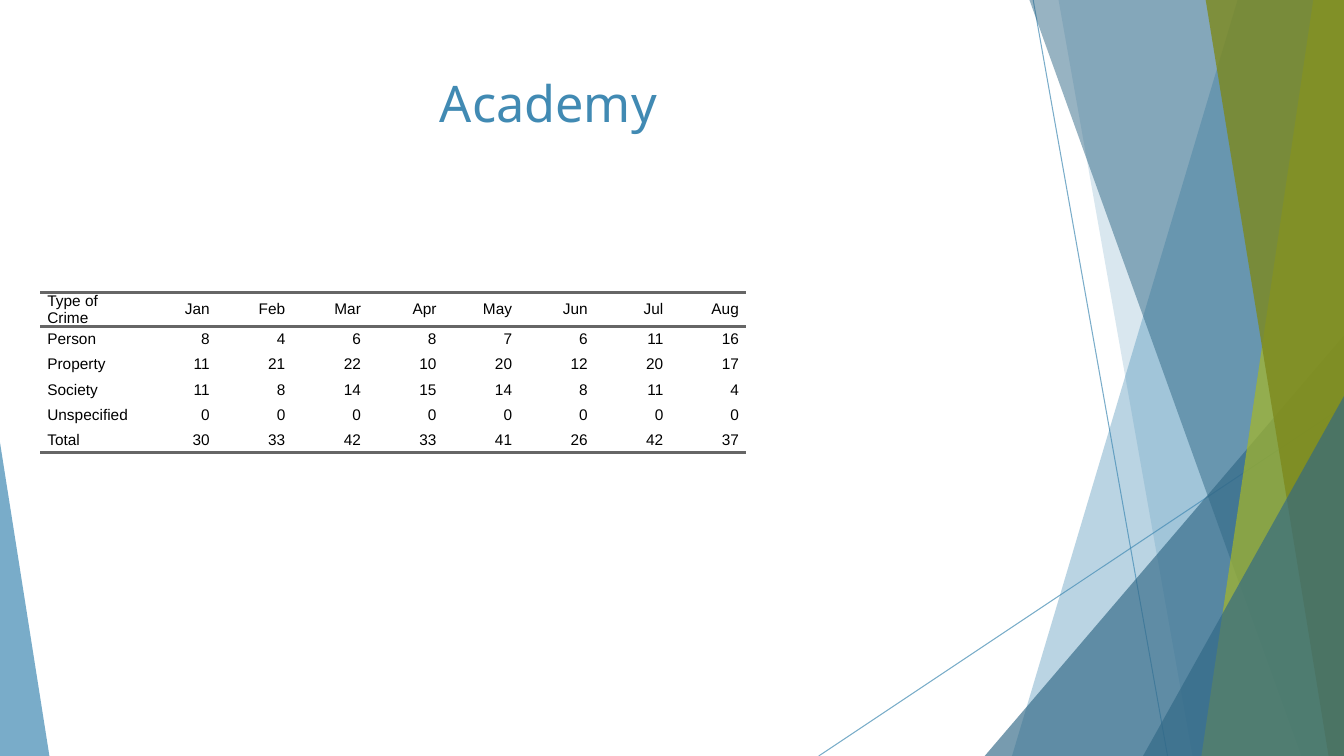
from lxml import etree
from pptx import Presentation
from pptx.dml.color import RGBColor
from pptx.enum.shapes import MSO_CONNECTOR, MSO_SHAPE
from pptx.enum.text import MSO_ANCHOR, PP_ALIGN
from pptx.oxml.ns import qn
from pptx.util import Pt

STRAIGHT = MSO_CONNECTOR.STRAIGHT
TRIANGLE = MSO_SHAPE.ISOSCELES_TRIANGLE
TOP, MIDDLE = MSO_ANCHOR.TOP, MSO_ANCHOR.MIDDLE
LEFT, CENTER, RIGHT = PP_ALIGN.LEFT, PP_ALIGN.CENTER, PP_ALIGN.RIGHT
COLORS = {
    "blue": "418AB3",
    "navy": "316886",
    "lime": "A6B727",
    "olive": "7D891D",
    "rule": "666666",
    "text": "000000",
}
SLIDE_WIDTH, SLIDE_HEIGHT = 960, 540
NO_TABLE_STYLE = "{2D5ABB26-0587-4C30-8999-92F81FD0307C}"


def paint(fill, color, opacity):
    fill.solid()
    fill.fore_color.rgb = RGBColor.from_string(COLORS[color])
    color_node = fill._xPr.find(qn("a:solidFill"))[0]
    etree.SubElement(color_node, qn("a:alpha"), val=str(opacity * 1000))


def add_border(cell, side):
    border = etree.SubElement(cell._tc.get_or_add_tcPr(), qn(side), w=str(Pt(2)))
    solid = etree.SubElement(border, qn("a:solidFill"))
    etree.SubElement(solid, qn("a:srgbClr"), val=COLORS["rule"])


presentation = Presentation()
presentation.slide_width = Pt(SLIDE_WIDTH)
presentation.slide_height = Pt(SLIDE_HEIGHT)
slide = presentation.slides.add_slide(presentation.slide_layouts[6])

for start_x, start_y, end_x, end_y in [(738, 0, 834, 540), (960, 290, 584.8, 540)]:
    line = slide.shapes.add_connector(
        STRAIGHT, Pt(start_x), Pt(start_y), Pt(end_x), Pt(end_y)
    )
    line.line.width = Pt(0.75)
    paint(line.line.fill, "blue", 70)
    etree.SubElement(line._element.spPr, qn("a:effectLst"))

facets = [
    ("band", (884.2, 722.9), "blue", 36),
    ("band", (756, 851.8), "blue", 20),
    ("triangle", (703.4, 239.8, 256.6, 1), "navy", 66),
    ("band", (735.1, 929.5), "navy", 50),
    ("band", (938.2, 858.2), "lime", 70),
    ("band", (861.1, 949), "olive", 80),
    ("triangle", (816.5, 283, 143.5, 1), "navy", 66),
    ("triangle", (0, 316.1, 35.3, 0), "blue", 70),
]
for kind, geometry, color, opacity in facets:
    if kind == "band":
        top_x, bottom_x = geometry
        builder = slide.shapes.build_freeform(Pt(top_x), Pt(-0.7))
        builder.add_line_segments([
            (Pt(SLIDE_WIDTH), Pt(-0.7)),
            (Pt(SLIDE_WIDTH), Pt(SLIDE_HEIGHT)),
            (Pt(bottom_x), Pt(SLIDE_HEIGHT)),
        ])
        shape = builder.convert_to_shape()
    else:
        left, top, width, apex = geometry
        shape = slide.shapes.add_shape(
            TRIANGLE, Pt(left), Pt(top), Pt(width), Pt(SLIDE_HEIGHT - top)
        )
        shape.adjustments[0] = apex
    shape.shadow.inherit = False
    paint(shape.fill, color, opacity)
    shape.line.fill.background()

crime_rows = [
    ["Type of Crime", "Jan", "Feb", "Mar", "Apr", "May", "Jun", "Jul", "Aug"],
    ["Person", 8, 4, 6, 8, 7, 6, 11, 16],
    ["Property", 11, 21, 22, 10, 20, 12, 20, 17],
    ["Society", 11, 8, 14, 15, 14, 8, 11, 4],
    ["Unspecified", 0, 0, 0, 0, 0, 0, 0, 0],
    ["Total", 30, 33, 42, 33, 41, 26, 42, 37],
]
row_count, column_count = len(crime_rows), len(crime_rows[0])
table = slide.shapes.add_table(
    row_count, column_count, Pt(28.8), Pt(208.8), Pt(504), Pt(108)
).table
table.first_row = False
table.horz_banding = False
table._tbl.tblPr.find(qn("a:tableStyleId")).text = NO_TABLE_STYLE
for column_index, column in enumerate(table.columns):
    column.width = Pt(54 if column_index else 72)

for row_index, values in enumerate(crime_rows):
    table.rows[row_index].height = Pt(18)
    for column_index, value in enumerate(values):
        cell = table.cell(row_index, column_index)
        cell.margin_left = cell.margin_right = Pt(0)
        cell.margin_top = cell.margin_bottom = Pt(0)
        cell.vertical_anchor = MIDDLE
        if row_index == 0:
            add_border(cell, "a:lnT")
        if row_index in (0, row_count - 1):
            add_border(cell, "a:lnB")
        cell.fill.background()
        paragraph = cell.text_frame.paragraphs[0]
        paragraph.text = str(value)
        paragraph.alignment = RIGHT if column_index else LEFT
        paragraph.space_before = paragraph.space_after = Pt(5)
        properties = paragraph._p.get_or_add_pPr()
        properties.set("marL", str(Pt(5)))
        properties.set("marR", str(Pt(5)))
        properties.set("indent", "0")
        font = paragraph.runs[0].font
        font.name = "Arial"
        font.size = Pt(11)
        font.color.rgb = RGBColor.from_string(COLORS["text"])

title = slide.shapes.add_textbox(Pt(53.3), Pt(48.2), Pt(676.8), Pt(103.7))
title.text_frame.word_wrap = True
title.text_frame.vertical_anchor = TOP
title.text_frame.text = "Academy"
title_paragraph = title.text_frame.paragraphs[0]
title_paragraph.alignment = CENTER
title_font = title_paragraph.runs[0].font
title_font.name = "Noto Sans"
title_font.size = Pt(36)
title_font.color.rgb = RGBColor.from_string(COLORS["blue"])

presentation.save("out.pptx")
